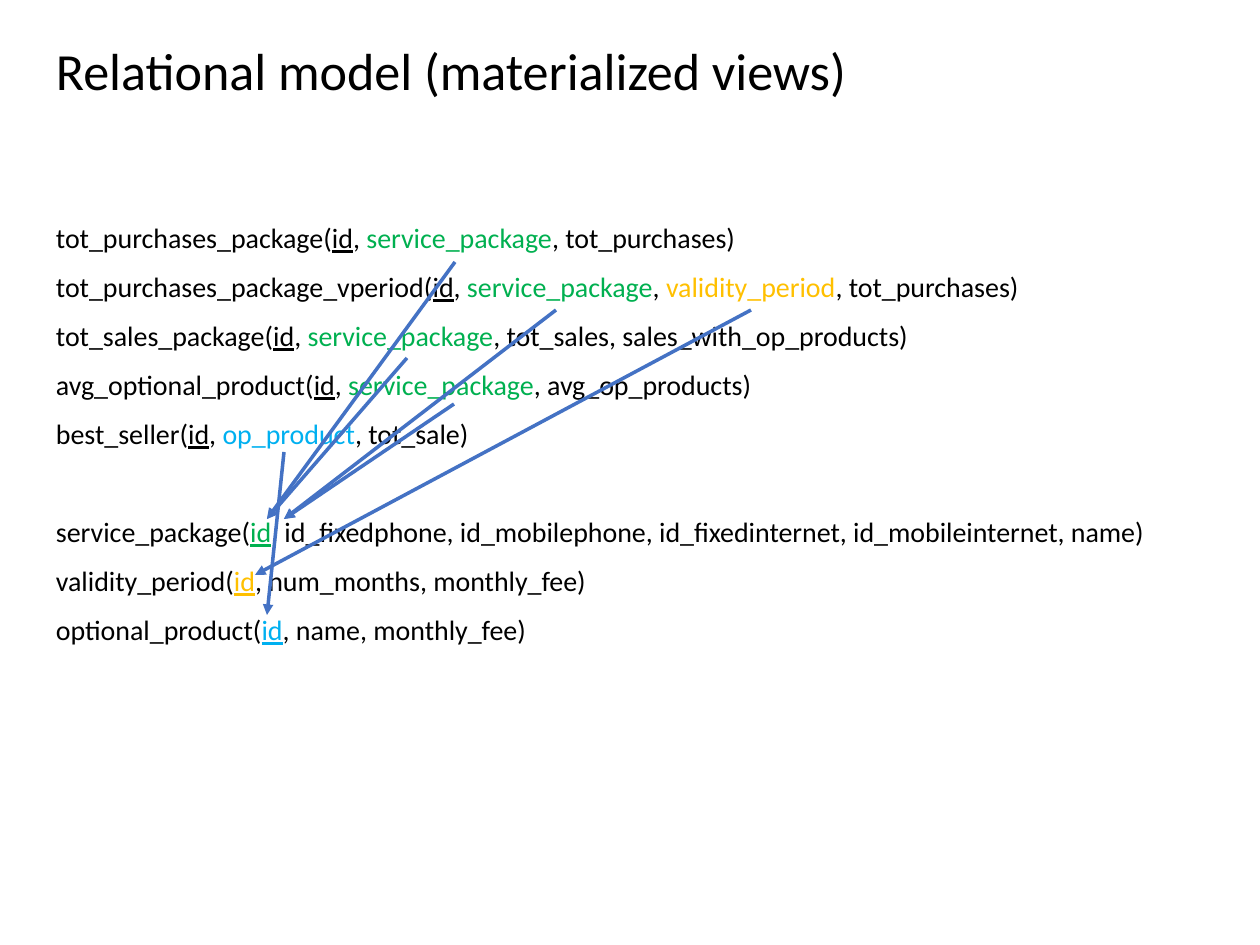
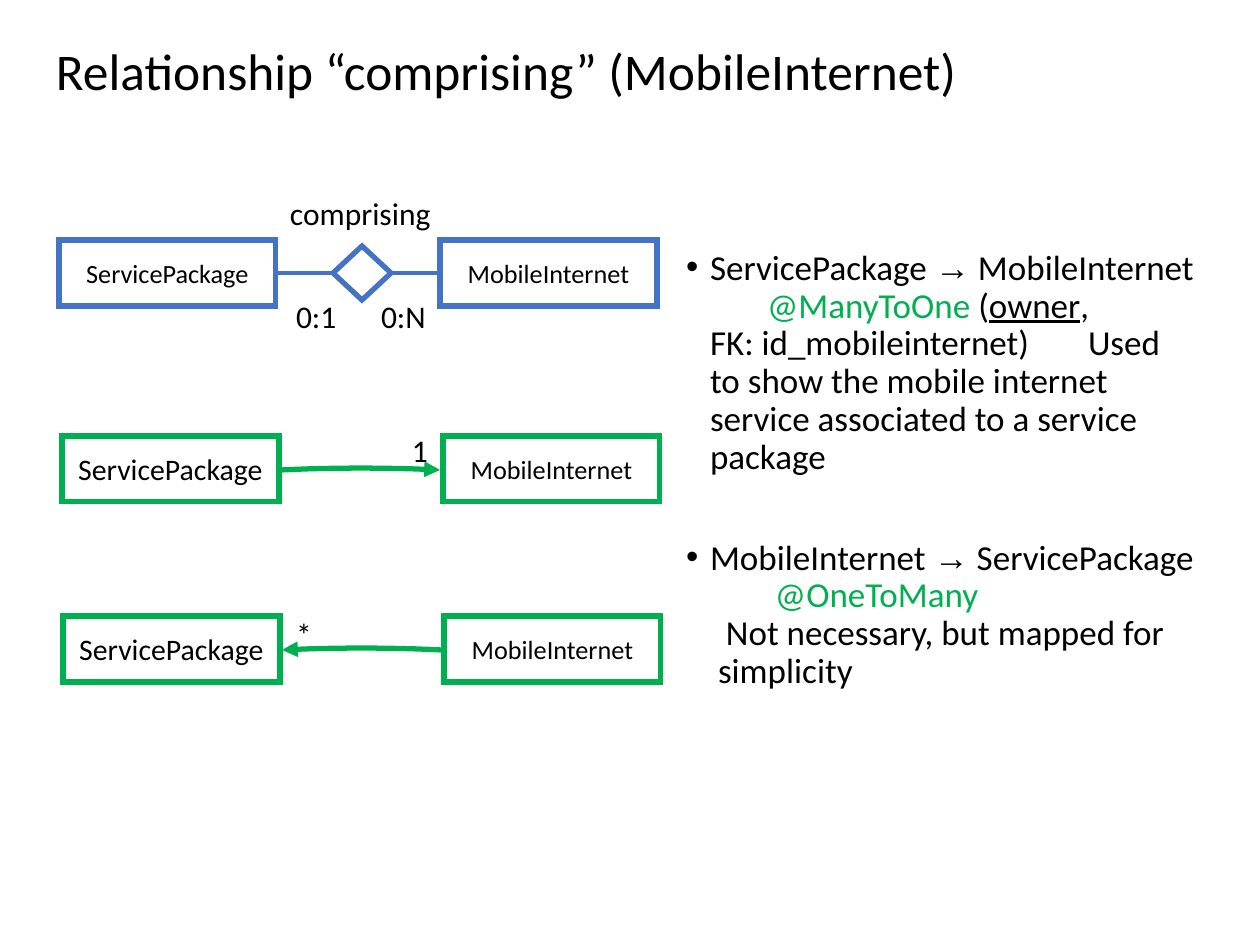
from lxml.etree import SubElement
from pptx import Presentation
from pptx.dml.color import RGBColor
from pptx.enum.shapes import MSO_CONNECTOR as Link, MSO_SHAPE as Kind
from pptx.enum.text import MSO_ANCHOR as Anchor, PP_ALIGN as Align
from pptx.oxml.ns import qn
from pptx.util import Pt

BLACK = RGBColor(0, 0, 0)
WHITE = RGBColor(255, 255, 255)
BLUE = RGBColor(0x44, 0x72, 0xC4)
GREEN = RGBColor(0x00, 0xB0, 0x50)
GOLD = RGBColor(0xFF, 0xC0, 0x00)
CYAN = RGBColor(0x00, 0xB0, 0xF0)

FONT = "Calibri"
PAD = 6

KEY = ("id", {"under": True})
PACK = ("service_package", {"color": GREEN})
ARROW = ("→", {"name": "Arial"})


def ref(color):
    return "id", {"under": True, "color": color}


VIEWS = [
    ["tot_purchases_package(", KEY, ", ", PACK, ", tot_purchases)"],
    ["tot_purchases_package_vperiod(", KEY, ", ", PACK, ", ",
     ("validity_period", {"color": GOLD}), ", tot_purchases)"],
    ["tot_sales_package(", KEY, ", ", PACK, ", tot_sales, sales_with_op_products)"],
    ["avg_optional_product(", KEY, ", ", PACK, ", avg_op_products)"],
    ["best_seller(", KEY, ", ", ("op_product", {"color": CYAN}), ", tot_sale)"],
]
TABLES = [
    ["service_package(", ref(GREEN),
     ", id_fixedphone, id_mobilephone, id_fixedinternet, id_mobileinternet, name)"],
    ["validity_period(", ref(GOLD), ", num_months, monthly_fee)"],
    ["optional_product(", ref(CYAN), ", name, monthly_fee)"],
]
LINKS = [
    ((455, 262), (267, 519)),
    ((556, 310), (284, 519)),
    ((407, 358), (267, 519)),
    ((454, 404), (284, 519)),
    ((751, 310), (255, 575)),
    ((284, 452), (267, 615)),
]

NOTES = [
    {"runs": ["ServicePackage ", ARROW, " MobileInternet"],
     "left": 24, "first": -24, "bullet": True},
    {"runs": [("@ManyToOne ", {"color": GREEN}), "(", ("owner", {"under": True}), ","],
     "left": 81},
    {"runs": ["FK: id_mobileinternet)\tUsed"], "left": 24, "tab": 406},
    {"runs": ["to show the mobile internet service associated to a service package"],
     "left": 24},
    {"runs": ["MobileInternet ", ARROW, " ServicePackage"],
     "left": 24, "first": -24, "bullet": True, "before": 36},
    {"runs": [("@OneToMany", {"color": GREEN})], "left": 89},
    {"runs": ["Not necessary, but mapped for simplicity"], "left": 32, "first": 8},
]
ENDS = ("ServicePackage", "MobileInternet")
ROWS = [
    (59, 240, BLUE, 15),
    (62, 436, GREEN, 17),
    (63, 616, GREEN, 17),
]
BOX_W, BOX_H, STEP = 217, 66, 381
LABELS = [
    ("0:N", 375, 291, 59),
    ("0:1", 290, 291, 54),
    ("comprising", 284, 188, 155),
    ("1", 406, 425, 30),
    ("*", 290, 609, 30),
]


def px(size):
    return round(size * 914400 / 126)


def write(para, runs, size, space=None, before=0, left=0, first=0, bullet=False, tab=None):
    prop = para._p.get_or_add_pPr()
    if left:
        prop.set("marL", str(px(left)))
        prop.set("indent", str(px(first)))
    if bullet:
        SubElement(prop, qn("a:buFont"), typeface="Arial")
        SubElement(prop, qn("a:buChar"), char="•")
    if tab:
        stops = SubElement(prop, qn("a:tabLst"))
        SubElement(stops, qn("a:tab"), pos=str(px(tab)), algn="l")
    para.font.size = Pt(size)
    para.font.name = FONT
    para.font.color.rgb = BLACK
    para.space_before = Pt(before)
    if space:
        para.line_spacing = space
    for item in runs:
        text, look = (item, {}) if isinstance(item, str) else item
        run = para.add_run()
        run.text = text
        if "color" in look:
            run.font.color.rgb = look["color"]
        if "under" in look:
            run.font.underline = True
        if "name" in look:
            run.font.name = look["name"]


def add_text(slide, area, paras, wrap=True, anchor=Anchor.TOP):
    frame = slide.shapes.add_textbox(*map(px, area)).text_frame
    frame.word_wrap = wrap
    frame.vertical_anchor = anchor
    frame.margin_left = frame.margin_right = px(PAD)
    frame.margin_top = frame.margin_bottom = px(PAD)
    for i, para in enumerate(paras):
        write(frame.paragraphs[0] if i == 0 else frame.add_paragraph(), **para)


def add_slide(deck, title, size):
    slide = deck.slides.add_slide(deck.slide_layouts[6])
    para = {"runs": [title], "size": size, "space": 0.9}
    add_text(slide, (50, 42, 1157, 64), [para], anchor=Anchor.MIDDLE)
    return slide


def add_tip(shape):
    SubElement(shape.line._get_or_add_ln(), qn("a:tailEnd"), type="triangle")


def add_link(slide, start, end, width):
    link = slide.shapes.add_connector(Link.STRAIGHT, *map(px, start + end))
    link.line.color.rgb = BLUE
    link.line.width = Pt(width)
    SubElement(link._element.spPr, qn("a:effectLst"))
    return link


def add_box(slide, kind, area, color, filled):
    box = slide.shapes.add_shape(kind, *map(px, area))
    box.shadow.inherit = False
    if filled:
        box.fill.solid()
        box.fill.fore_color.rgb = WHITE
    else:
        box.fill.background()
    box.line.color.rgb = color
    box.line.width = Pt(3)
    SubElement(box.line._get_or_add_ln(), qn("a:miter"), lim="800000")
    return box


def add_arc(slide, start, end, y):
    dots = []
    for i in range(13):
        t = i / 12
        dots.append((px(start + (end - start) * t), px(y - 7.5 * t * (1 - t))))
    pen = slide.shapes.build_freeform(*dots[0])
    pen.add_line_segments(dots[1:], close=False)
    arc = pen.convert_to_shape()
    arc.shadow.inherit = False
    arc.fill.background()
    arc.line.color.rgb = GREEN
    arc.line.width = Pt(3)
    add_tip(arc)


def add_views(deck):
    slide = add_slide(deck, "Relational model (materialized views)", 29.8)
    paras = []
    for i, runs in enumerate(VIEWS + TABLES):
        before = 0 if i == 0 else 33 if i == len(VIEWS) else 5
        paras.append({"runs": runs, "size": 16, "space": 1.2, "before": before})
    add_text(slide, (50, 208, 1157, 687), paras)
    for start, end in LINKS:
        add_tip(add_link(slide, start, end, 2))


def add_mapping(deck):
    slide = add_slide(deck, "Relationship “comprising” (MobileInternet)", 29.4)
    paras = [{"size": 20, "space": 0.9, **note} for note in NOTES]
    add_text(slide, (680, 244, 525, 651), paras)
    pairs = []
    for left, top, color, size in ROWS:
        pair = []
        for i, name in enumerate(ENDS):
            area = (left + i * STEP, top, BOX_W, BOX_H)
            box = add_box(slide, Kind.RECTANGLE, area, color, color == BLUE)
            frame = box.text_frame
            frame.vertical_anchor = Anchor.MIDDLE
            frame.margin_left = frame.margin_right = px(PAD)
            para = frame.paragraphs[0]
            para.alignment = Align.CENTER
            write(para, [name], 15 if i else size)
            pair.append(box)
        pairs.append(pair)
    gem = add_box(slide, Kind.DIAMOND, (333, 246, 58, 54), BLUE, True)
    for box, side, tip in zip(pairs[0], (3, 1), (1, 3)):
        link = add_link(slide, (0, 0), (0, 0), 2.25)
        link.begin_connect(box, side)
        link.end_connect(gem, tip)
    for (left, top, *_), (start, end) in zip(ROWS[1:], ((219, 378), (378, 219))):
        add_arc(slide, left + start, left + end, top + 34)
    for text, left, top, width in LABELS:
        add_text(slide, (left, top, width, 45), [{"runs": [text], "size": 18}], wrap=False)


def main():
    deck = Presentation()
    deck.slide_width, deck.slide_height = px(1260), px(945)
    add_views(deck)
    add_mapping(deck)
    deck.save("out.pptx")


if __name__ == "__main__":
    main()
